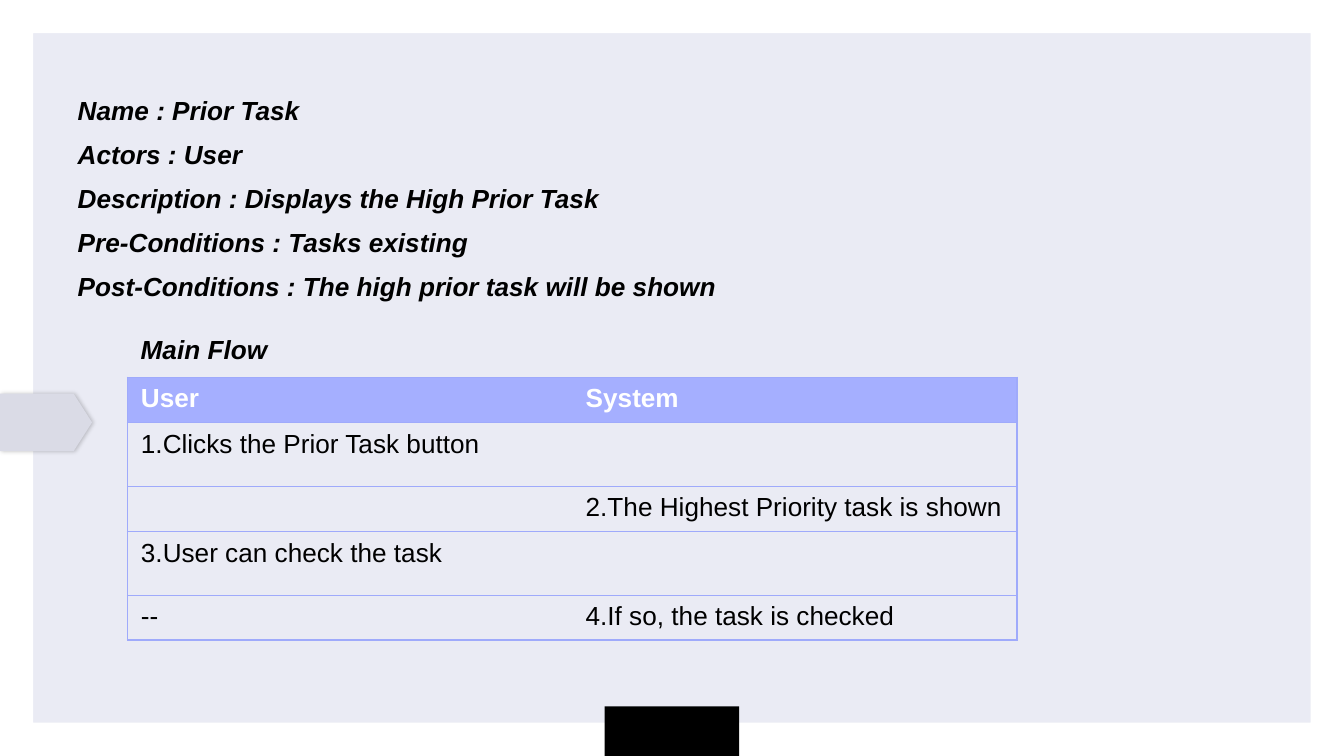
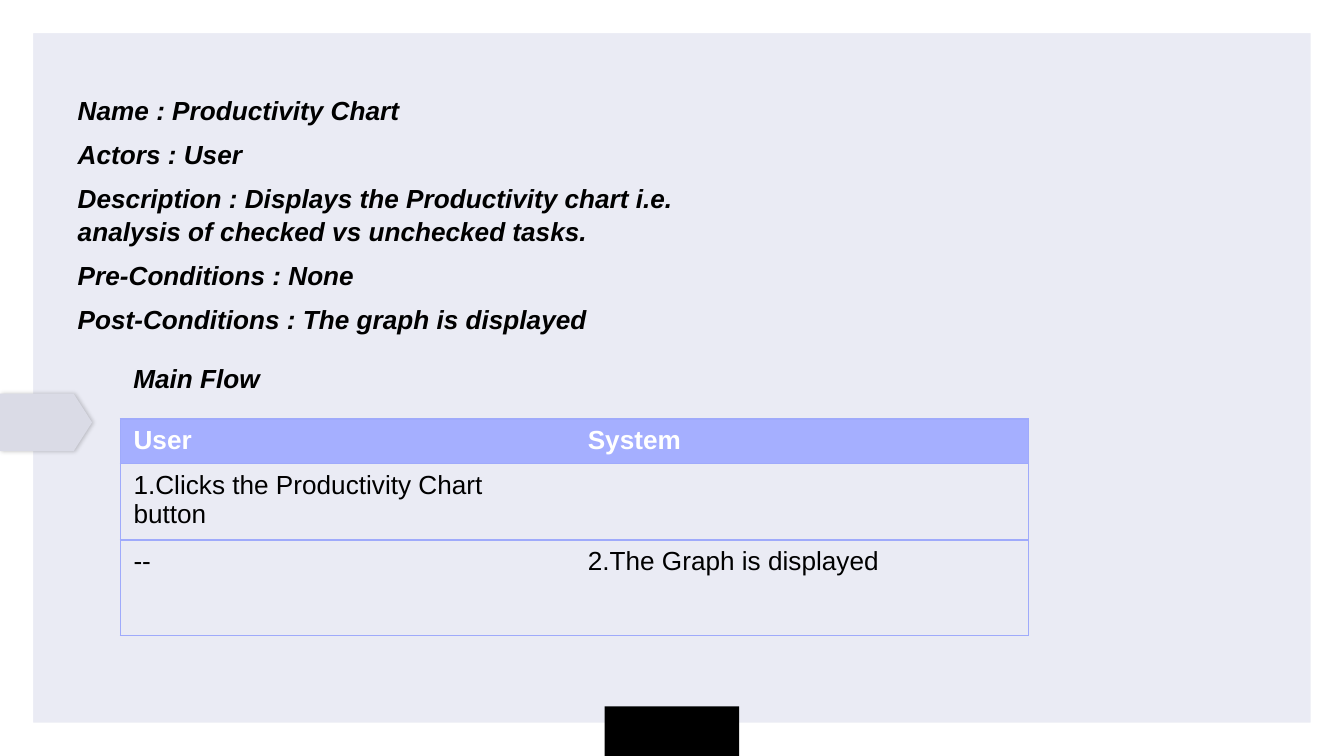
from lxml import etree
from pptx import Presentation
from pptx.dml.color import RGBColor
from pptx.enum.shapes import MSO_SHAPE
from pptx.enum.text import MSO_ANCHOR, PP_ALIGN
from pptx.oxml import parse_xml
from pptx.oxml.ns import nsdecls, qn
from pptx.util import Cm, Pt

FRAME = MSO_SHAPE.FRAME
RECTANGLE = MSO_SHAPE.RECTANGLE
ARROW_TAG = MSO_SHAPE.PENTAGON
TOP = MSO_ANCHOR.TOP
LEFT = PP_ALIGN.LEFT

COLORS = {
    "background": "EAEBF4",
    "frame": "FFFFFF",
    "footer": "000000",
    "tag": "DADBE6",
    "header": "A5AFFF",
    "border": "9FAAFB",
    "text": "000000",
    "header_text": "FFFFFF",
}
SLIDE_WIDTH, SLIDE_HEIGHT = 25.4, 14.29
BASE_FONT = {"name": "Arial", "size": Pt(14)}
DETAIL_FONT = {**BASE_FONT, "bold": True, "italic": True}
HEADER_FONT = {**BASE_FONT, "bold": True}
BODY_FONT = {**BASE_FONT, "bold": False}
PARAGRAPH_FORMAT = {"alignment": LEFT, "line_spacing": 1.05}
MARGINS = ("margin_left", "margin_top", "margin_right", "margin_bottom")

USE_CASES = [
    {
        "details": [
            "Name : Prior Task",
            "Actors : User",
            "Description : Displays the High Prior Task",
            "Pre-Conditions : Tasks existing",
            "Post-Conditions : The high prior task will be shown",
        ],
        "flow_title_top": 6.02,
        "table_box": (2.41, 7.13, 16.81),
        "row_heights": [0.86, 1.2, 0.86, 1.2, 0.82],
        "rows": [
            ("User", "System"),
            ("1.Clicks the Prior Task button", ""),
            ("", "2.The Highest Priority task is shown"),
            ("3.User can check the task", ""),
            ("--", "4.If so, the task is checked"),
        ],
    },
    {
        "details": [
            "Name : Productivity Chart",
            "Actors : User",
            "Description : Displays the Productivity chart i.e. "
            "analysis of checked vs unchecked tasks.",
            "Pre-Conditions : None",
            "Post-Conditions : The graph is displayed",
        ],
        "flow_title_top": 6.58,
        "table_box": (2.27, 7.92, 17.17),
        "row_heights": [0.81, 1.36, 1.8],
        "rows": [
            ("User", "System"),
            ("1.Clicks the Productivity Chart button", ""),
            ("--", "2.The Graph is displayed"),
        ],
    },
]


def apply_format(target, values):
    for name, value in values.items():
        setattr(target, name, value)


def write_run(paragraph, text, font_format, color):
    run = paragraph.add_run()
    run.text = text
    apply_format(run.font, font_format)
    run.font.color.rgb = RGBColor.from_string(COLORS[color])


def add_block(slide, kind, box, color, adjustment=None):
    shape = slide.shapes.add_shape(kind, *map(Cm, box))
    shape.shadow.inherit = False
    shape.fill.solid()
    shape.fill.fore_color.rgb = RGBColor.from_string(COLORS[color])
    shape.line.fill.background()
    if adjustment is not None:
        shape.adjustments[0] = adjustment
    return shape


def add_soft_shadow(shape):
    effects = shape.element.spPr.find(qn("a:effectLst"))
    effects.append(parse_xml(
        f'<a:outerShdw {nsdecls("a")} blurRad="{Pt(2.2)}" dist="{Pt(0.8)}" '
        'dir="0" rotWithShape="0"><a:srgbClr val="000000">'
        '<a:alpha val="20000"/></a:srgbClr></a:outerShdw>'))


def add_lines(slide, box, lines):
    frame = slide.shapes.add_textbox(*map(Cm, box)).text_frame
    apply_format(frame, {"word_wrap": True, "vertical_anchor": TOP})
    apply_format(frame, dict.fromkeys(MARGINS, Cm(0.25)))
    for index, line in enumerate(lines):
        paragraph = frame.paragraphs[0] if index == 0 else frame.add_paragraph()
        apply_format(paragraph, PARAGRAPH_FORMAT)
        paragraph.space_before = Pt(6 if index else 0)
        write_run(paragraph, line, DETAIL_FONT, "text")


def set_borders(cell, visible_sides):
    properties = cell._tc.get_or_add_tcPr()
    for side in "LRTB":
        fill = "<a:noFill/>"
        if side in visible_sides:
            fill = f'<a:solidFill><a:srgbClr val="{COLORS["border"]}"/></a:solidFill>'
        properties.append(parse_xml(
            f'<a:ln{side} {nsdecls("a")} w="{Pt(0.75)}">{fill}</a:ln{side}>'))


def fill_cell(cell, text, is_header):
    paragraph = cell.text_frame.paragraphs[0]
    if text:
        font_format = HEADER_FONT if is_header else BODY_FONT
        write_run(paragraph, text, font_format, "header_text" if is_header else "text")
    else:
        etree.SubElement(paragraph._p, qn("a:endParaRPr"), sz="1400")
    if is_header:
        cell.fill.solid()
        cell.fill.fore_color.rgb = RGBColor.from_string(COLORS["header"])
    else:
        cell.fill.background()


def add_flow_table(slide, box, rows, row_heights):
    left, top, width = box
    table = slide.shapes.add_table(
        len(rows), 2, Cm(left), Cm(top), Cm(width), Cm(sum(row_heights))).table
    apply_format(table, {"first_row": False, "horz_banding": False})
    for row_index, (texts, height) in enumerate(zip(rows, row_heights)):
        table.rows[row_index].height = Cm(height)
        for column_index, text in enumerate(texts):
            cell = table.cell(row_index, column_index)
            set_borders(cell, "TBL" if column_index == 0 else "TBR")
            fill_cell(cell, text, row_index == 0)


def add_backdrop(slide):
    slide.background.fill.solid()
    slide.background.fill.fore_color.rgb = RGBColor.from_string(COLORS["background"])
    add_block(slide, FRAME, (0, 0, SLIDE_WIDTH, SLIDE_HEIGHT), "frame", 0.044)
    footer = add_block(slide, RECTANGLE, (12.23, 12.55, 0.94, 2.54), "footer")
    footer.rotation = 270
    tag = add_block(slide, ARROW_TAG, (0, 7.44, 1.74, 1.09), "tag", 0.32)
    add_soft_shadow(tag)


def add_use_case(presentation, use_case):
    slide = presentation.slides.add_slide(presentation.slide_layouts[6])
    add_backdrop(slide)
    add_lines(slide, (1.22, 1.5, 12.78, 5.33), use_case["details"])
    table_box = use_case["table_box"]
    add_flow_table(slide, table_box, use_case["rows"], use_case["row_heights"])
    add_lines(slide, (table_box[0], use_case["flow_title_top"], 3.4, 1.12), ["Main Flow"])


def main():
    presentation = Presentation()
    presentation.slide_width = Cm(SLIDE_WIDTH)
    presentation.slide_height = Cm(SLIDE_HEIGHT)
    for use_case in USE_CASES:
        add_use_case(presentation, use_case)
    presentation.save("out.pptx")


if __name__ == "__main__":
    main()
